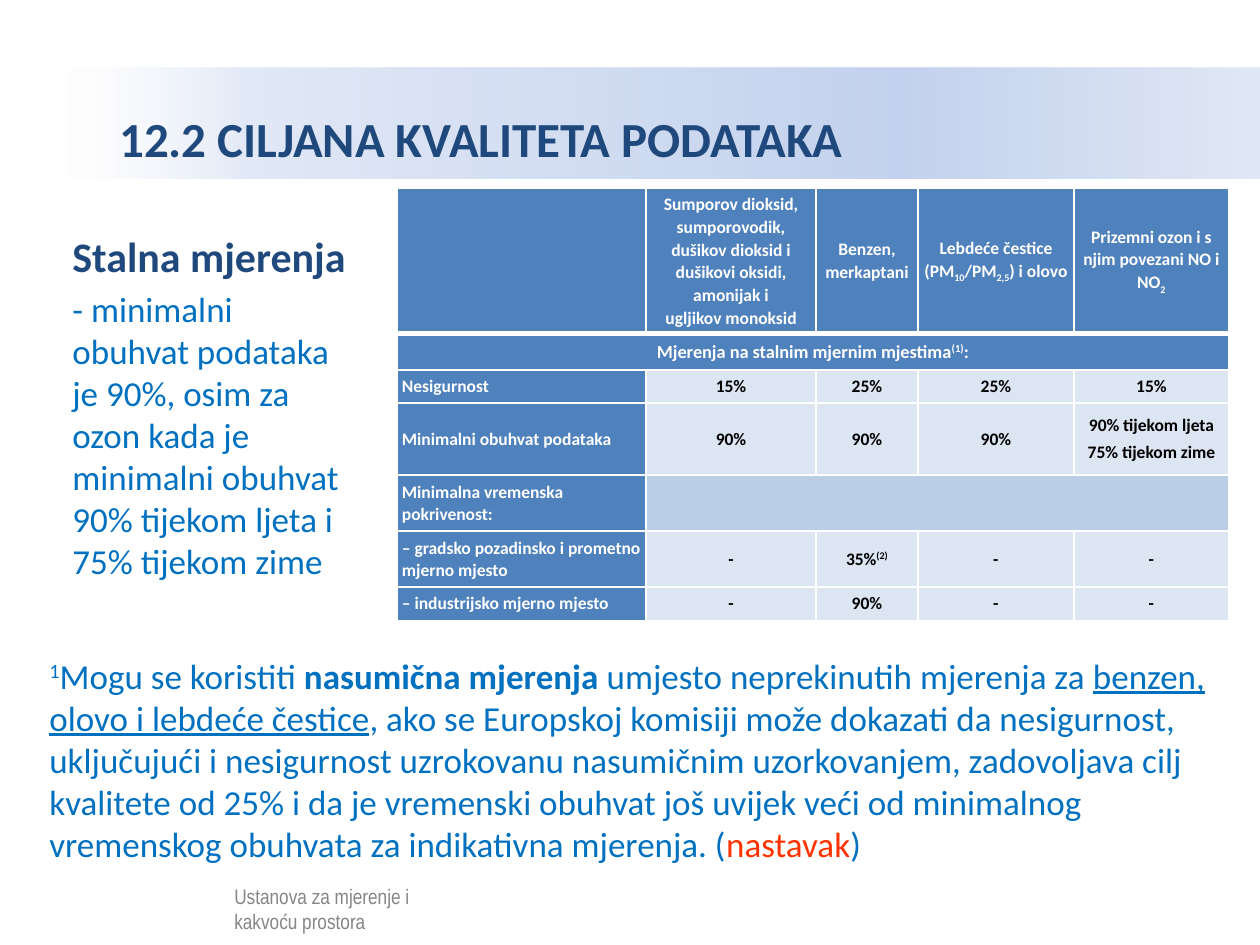
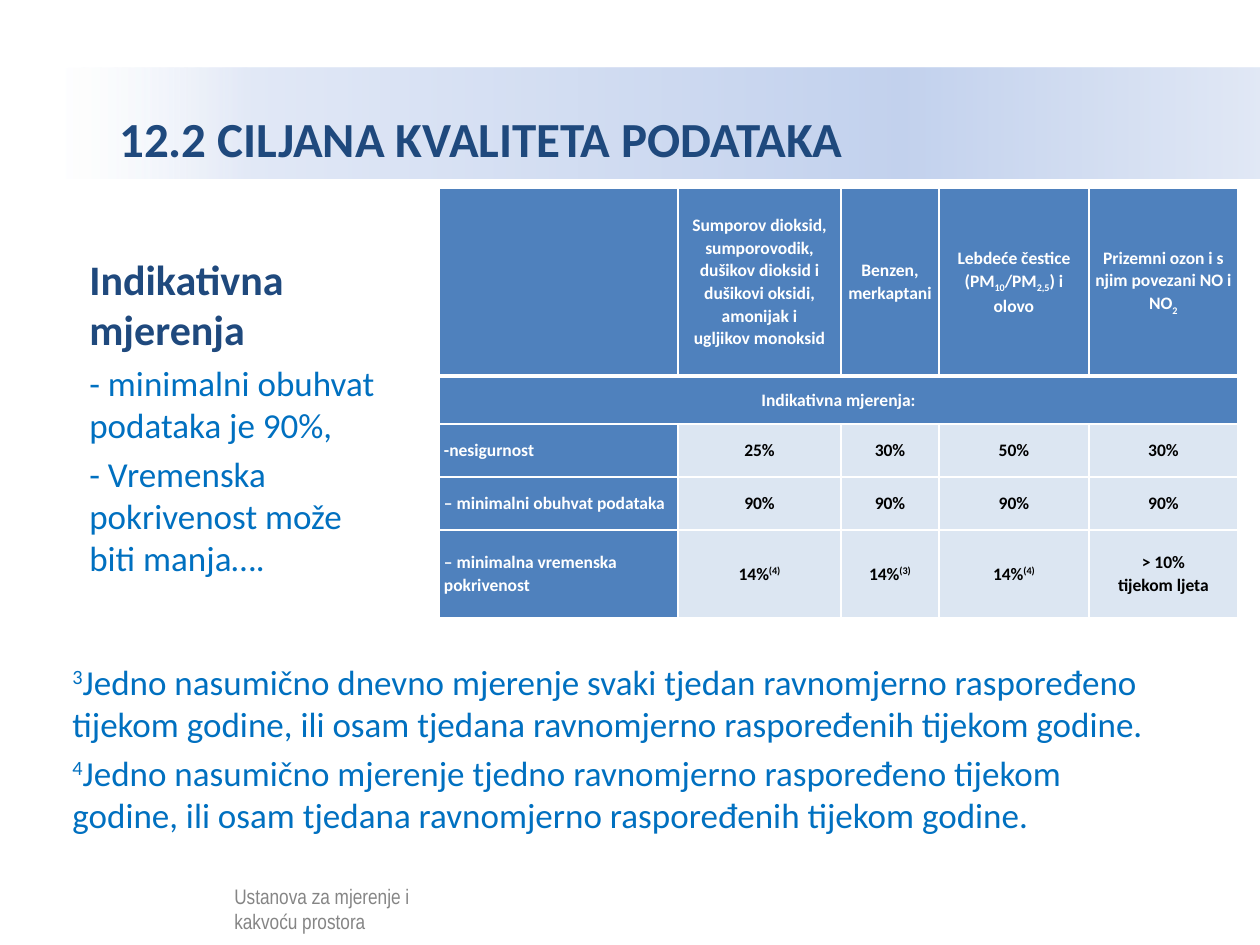
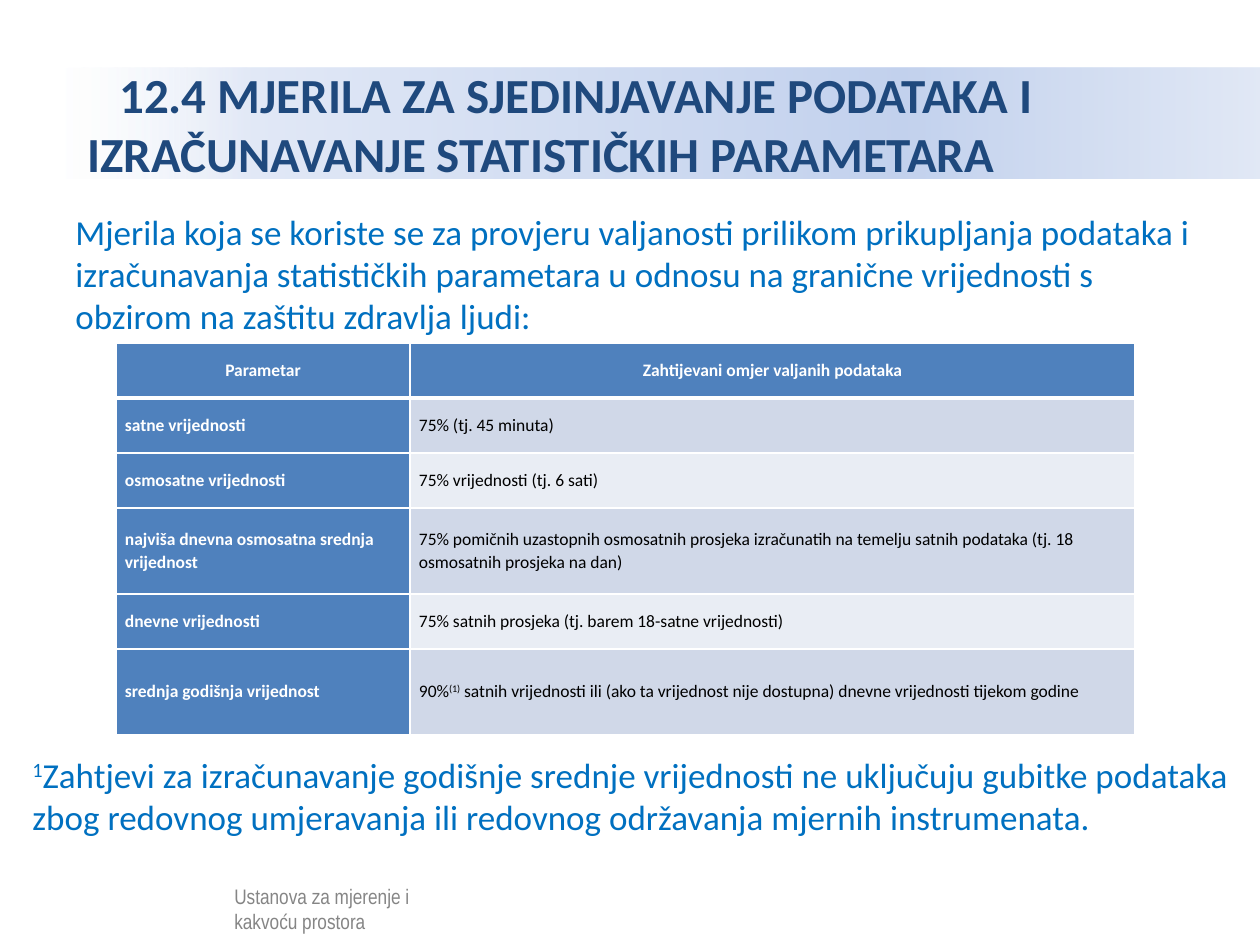
from dataclasses import dataclass

from pptx import Presentation
from pptx.dml.color import RGBColor
from pptx.enum.shapes import MSO_SHAPE
from pptx.enum.text import MSO_ANCHOR, PP_ALIGN
from pptx.oxml import parse_xml
from pptx.oxml.ns import nsdecls, qn
from pptx.util import Pt


@dataclass(frozen=True)
class Theme:
    font: str = "Calibri"
    footer_font: str = "Arial Narrow"
    navy: str = "1F497D"
    blue: str = "0070C0"
    red: str = "FF3300"
    black: str = "000000"
    white: str = "FFFFFF"
    head: str = "4F81BD"
    pale: str = "DCE6F2"
    blank: str = "B9CDE5"
    bands: tuple = ("D0D8E8", "E9EDF4")
    gradient: tuple = ((0, "FFFFFF", 52), (16, "E1E8F6", 100),
                       (70, "C2D1ED", 100), (100, "E1E8F5", 100))
    title_pt: int = 28
    lead_pt: int = 24
    body_pt: int = 20
    footer_pt: int = 12
    cell_pt: int = 10


T = Theme()
EMU_PER_PX = 914400 / 126

TITLE = dict(name=T.font, size=T.title_pt, color=T.navy, bold=True)
LEAD = dict(name=T.font, size=T.lead_pt, color=T.navy, bold=True)
BODY = dict(name=T.font, size=T.body_pt, color=T.blue)
FOOTER = dict(name=T.footer_font, size=T.footer_pt, color=T.black)
HEAD_CELL = dict(name=T.font, size=T.cell_pt, color=T.white, bold=True)
BODY_CELL = dict(HEAD_CELL, color=T.black)
SUB, SUP = {"baseline": -25}, {"baseline": 30}

# Within text, "\v" is a line break and "\n" starts a paragraph.
FOOTER_TEXT = "Ustanova za mjerenje i kakvoću prostora"
POLLUTANTS = [
    "",
    "Sumporov dioksid, sumporovodik, dušikov dioksid i\vdušikovi oksidi, "
    "amonijak i\vugljikov monoksid",
    "Benzen, merkaptani",
    ["Lebdeće čestice (PM", ("10", SUB), "/PM", ("2,5", SUB), ") i olovo"],
    ["Prizemni ozon i s njim povezani NO i NO", ("2", SUB)],
]
QUALITY_TITLE = dict(text="12.2 CILJANA KVALITETA PODATAKA", spacing=1.5, left=0, first=44)

# A row with fewer cells than columns lets its last cell span the rest.
SLIDES = [
    dict(
        title=QUALITY_TITLE,
        table=dict(
            at=(397, 188), inset=5, cols=[249, 170, 102, 156, 155],
            heights=[110, 36, 26, 72, 43, 43, 26], space_after={3: 2.4},
            rows=[
                POLLUTANTS,
                [[("Mjerenja na stalnim mjernim mjestima", {"size": 10.5}),
                  ("(1)", dict(SUP, size=10.5)), (":", {"size": 10.5})]],
                ["Nesigurnost", "15%", "25%", "25%", "15%"],
                ["Minimalni obuhvat podataka", "90%", "90%", "90%",
                 "90% tijekom ljeta\n75% tijekom zime"],
                ["Minimalna vremenska pokrivenost:", ""],
                ["– gradsko pozadinsko i prometno mjerno mjesto", "-",
                 ["35%", ("(2)", SUP)], "-", "-"],
                ["– industrijsko mjerno mjesto", "-", "90%", "-", "-"],
            ]),
        texts=[
            ((60, 224, 305, 374), [
                [("Stalna mjerenja", LEAD)],
                "- minimalni obuhvat podataka je 90%, osim za ozon kada je minimalni "
                "obuhvat 90% tijekom ljeta i 75% tijekom zime"]),
            ((37, 648, 1182, 224), [[
                ("1", SUP), "Mogu se koristiti ", ("nasumična mjerenja ", {"bold": True}),
                "umjesto neprekinutih mjerenja za ",
                ("benzen, olovo i lebdeće čestice", {"underline": True}),
                ", ako se Europskoj komisiji može dokazati da nesigurnost, uključujući i "
                "nesigurnost uzrokovanu nasumičnim uzorkovanjem, zadovoljava cilj kvalitete "
                "od 25% i da je vremenski obuhvat još uvijek veći od minimalnog vremenskog "
                "obuhvata za indikativna mjerenja. (",
                ("nastavak", {"color": T.red}), ")"]]),
        ]),
    dict(
        title=QUALITY_TITLE,
        table=dict(
            at=(439, 188), inset=5, cols=[239, 163, 98, 150, 149],
            heights=[188, 48, 53, 53, 88],
            rows=[
                POLLUTANTS,
                ["Indikativna mjerenja:"],
                ["-nesigurnost", "25%", "30%", "50%", "30%"],
                ["– minimalni obuhvat podataka", "90%", "90%", "90%", "90%"],
                ["– minimalna vremenska pokrivenost", ["14%", ("(4)", SUP)],
                 ["14%", ("(3)", SUP)], ["14%", ("(4)", SUP)], "> 10%\vtijekom ljeta"],
            ]),
        texts=[
            ((77, 247, 328, 372), [
                [("Indikativna mjerenja", LEAD)],
                "- minimalni obuhvat podataka je 90%,",
                "- Vremenska pokrivenost može biti manja…."]),
            ((60, 654, 1110, 190), [
                [("3", SUP), "Jedno nasumično dnevno mjerenje svaki tjedan ravnomjerno "
                 "raspoređeno tijekom godine, ili osam tjedana ravnomjerno raspoređenih "
                 "tijekom godine."],
                [("4", SUP), "Jedno nasumično mjerenje tjedno ravnomjerno raspoređeno "
                 "tijekom godine, ili osam tjedana ravnomjerno raspoređenih tijekom "
                 "godine."]]),
        ]),
    dict(
        title=dict(text="12.4 MJERILA ZA SJEDINJAVANJE PODATAKA I\v"
                        "IZRAČUNAVANJE STATISTIČKIH PARAMETARA",
                   spacing=1.0, left=12, first=32),
        table=dict(
            at=(116, 343), inset=9, cols=[294, 725],
            heights=[55, 55, 55, 86, 55, 86], fills=T.bands,
            align=PP_ALIGN.LEFT, bold=False,
            rows=[
                ["Parametar", "Zahtijevani omjer valjanih podataka"],
                ["satne vrijednosti", "75% (tj. 45 minuta)"],
                ["osmosatne vrijednosti", "75% vrijednosti (tj. 6 sati)"],
                ["najviša dnevna osmosatna srednja vrijednost",
                 "75% pomičnih uzastopnih osmosatnih prosjeka izračunatih na temelju "
                 "satnih podataka (tj. 18 osmosatnih prosjeka na dan)"],
                ["dnevne vrijednosti", "75% satnih prosjeka (tj. barem 18-satne vrijednosti)"],
                ["srednja godišnja vrijednost",
                 ["90%", ("(1)", SUP), " satnih vrijednosti ili (ako ta vrijednost nije "
                  "dostupna) dnevne vrijednosti tijekom godine"]],
            ]),
        texts=[
            ((63, 204, 1153, 135), [
                "Mjerila koja se koriste se za provjeru valjanosti prilikom prikupljanja "
                "podataka i izračunavanja statističkih parametara u odnosu na granične "
                "vrijednosti s obzirom na zaštitu zdravlja ljudi:"]),
            ((20, 747, 1239, 135), [[
                ("1", SUP), "Zahtjevi za izračunavanje godišnje srednje vrijednosti ne "
                "uključuju gubitke podataka zbog redovnog umjeravanja ili redovnog "
                "održavanja mjernih instrumenata."]]),
        ]),
]


def px(n):
    return round(n * EMU_PER_PX)


def box(*lengths):
    return [px(n) for n in lengths]


def format_run(r, fmt):
    for key, value in fmt.items():
        if key == "color":
            r.font.color.rgb = RGBColor.from_string(value)
        elif key == "baseline":
            r.font._element.set("baseline", str(value * 1000))
        else:
            setattr(r.font, key, Pt(value) if key == "size" else value)


def write(tf, paras, base, gap=0, **para_format):
    """Fill a text frame; a paragraph is a string or a list of runs."""
    for i, runs in enumerate(paras):
        p = tf.paragraphs[0] if i == 0 else tf.add_paragraph()
        for key, value in para_format.items():
            setattr(p, key, value)
        if i and gap:
            p.space_before = Pt(gap)
        for run in [runs] if isinstance(runs, str) else runs:
            text, fmt = (run, {}) if isinstance(run, str) else run
            for j, line in enumerate(text.split("\v")):
                if j:
                    p.add_line_break()
                r = p.add_run()
                r.text = line
                format_run(r, {**base, **fmt})


def add_text(slide, at, paras, base, gap=0):
    tf = slide.shapes.add_textbox(*box(*at)).text_frame
    tf.word_wrap = True
    write(tf, paras, base, gap)


def add_rect(slide, at):
    sp = slide.shapes.add_shape(MSO_SHAPE.RECTANGLE, *box(*at))
    sp.shadow.inherit = False
    sp.line.fill.background()
    return sp


def add_alpha(color_element, percent):
    color_element.append(parse_xml(f'<a:alpha {nsdecls("a")} val="{percent * 1000}"/>'))


def add_title(slide, title):
    sp = add_rect(slide, (63, 68, 1197, 111))
    sp.fill.gradient()
    sp.fill.gradient_angle = 0
    stops = sp._element.spPr.find(".//" + qn("a:gsLst"))
    for old in list(stops):
        stops.remove(old)
    for pos, color, opacity in T.gradient:
        stop = parse_xml(f'<a:gs {nsdecls("a")} pos="{pos * 1000}">'
                         f'<a:srgbClr val="{color}"/></a:gs>')
        add_alpha(stop[0], opacity)
        stops.append(stop)
    tf = sp.text_frame
    tf.word_wrap = True
    tf.vertical_anchor = MSO_ANCHOR.MIDDLE
    write(tf, [title["text"]], TITLE, alignment=PP_ALIGN.LEFT, line_spacing=title["spacing"])
    pPr = tf.paragraphs[0]._p.get_or_add_pPr()
    for key, length in (("marL", title["left"]), ("indent", title["first"])):
        pPr.set(key, str(px(length)))


def add_footer(slide):
    """Footer text, dimmed by a translucent white veil."""
    add_text(slide, (222, 877, 263, 32), [FOOTER_TEXT], FOOTER)
    veil = add_rect(slide, (52, 873, 481, 60))
    veil.fill.solid()
    veil.fill.fore_color.rgb = RGBColor.from_string(T.white)
    add_alpha(veil._element.spPr.find(".//" + qn("a:srgbClr")), 52)


def set_borders(cell, row):
    """White rules, with a thick one under the header row."""
    tcPr = cell._tc.get_or_add_tcPr()
    thick = {(0, "B"), (1, "T")}
    for i, side in enumerate("LRTB"):
        width = Pt(3 if (row, side) in thick else 1)
        tcPr.insert(i, parse_xml(
            f'<a:ln{side} {nsdecls("a")} w="{width}"><a:solidFill>'
            f'<a:srgbClr val="{T.white}"/></a:solidFill></a:ln{side}>'))


def add_table(slide, at, inset, cols, heights, rows, fills=(T.pale,),
              align=PP_ALIGN.CENTER, bold=True, space_after=None):
    shape = slide.shapes.add_table(len(rows), len(cols), *box(*at, sum(cols), sum(heights)))
    table = shape.table
    for col, width in zip(table.columns, cols):
        col.width = px(width)
    for row, height in zip(table.rows, heights):
        row.height = px(height)
    margins = dict(margin_left=inset, margin_top=inset, margin_right=inset,
                   margin_bottom=inset + 1)
    for i, row in enumerate(rows):
        after = Pt((space_after or {}).get(i, 0))
        for j in range(len(cols)):
            cell = table.cell(i, j)
            content = row[j] if j < len(row) else ""
            is_head = i == 0 or j == 0 or len(row) == 1
            is_blank = 1 < len(row) < len(cols) and j >= len(row) - 1
            color = T.head if is_head else T.blank if is_blank else fills[(i - 1) % len(fills)]
            cell.fill.solid()
            cell.fill.fore_color.rgb = RGBColor.from_string(color)
            set_borders(cell, i)
            cell.vertical_anchor = MSO_ANCHOR.MIDDLE
            if not content:
                continue
            for key, value in margins.items():
                setattr(cell, key, px(value))
            is_label = j == 0 and i > 0 and len(row) > 1
            alignment = (PP_ALIGN.LEFT if is_label else
                         PP_ALIGN.CENTER if is_head else align)
            write(cell.text_frame,
                  content.split("\n") if isinstance(content, str) else [content],
                  HEAD_CELL if is_head else dict(BODY_CELL, bold=bold),
                  alignment=alignment, line_spacing=1.07, space_after=after)
        if len(row) < len(cols):
            table.cell(i, len(row) - 1).merge(table.cell(i, len(cols) - 1))


def main():
    prs = Presentation()
    prs.slide_width, prs.slide_height = box(1260, 945)
    for content in SLIDES:
        slide = prs.slides.add_slide(prs.slide_layouts[6])
        add_title(slide, content["title"])
        add_footer(slide)
        add_table(slide, **content["table"])
        for at, paras in content["texts"]:
            add_text(slide, at, paras, BODY, gap=4)
    prs.save("out.pptx")


if __name__ == "__main__":
    main()
